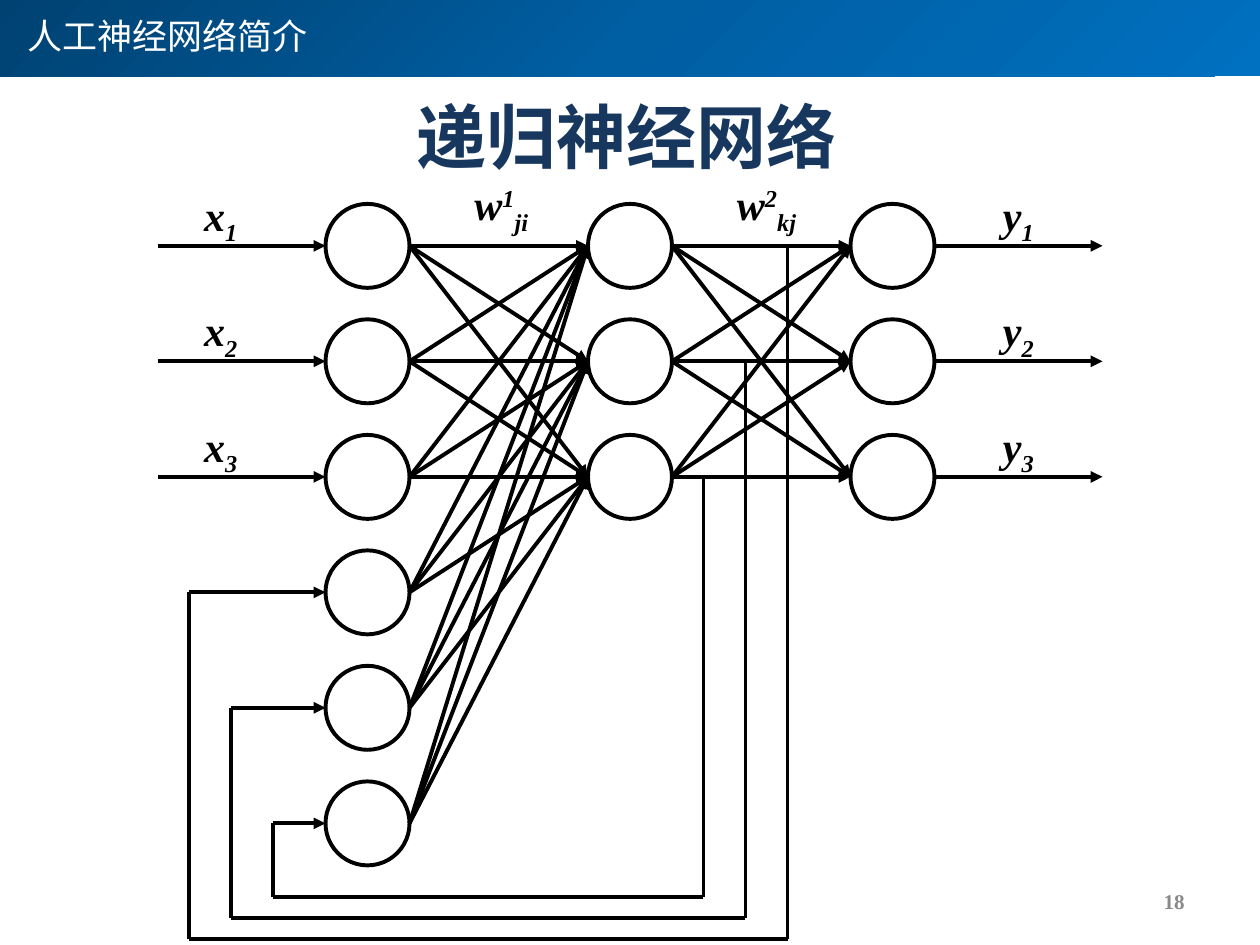
import itertools
from dataclasses import dataclass

import pptx
import pptx.dml.color
import pptx.enum.shapes
import pptx.enum.text
import pptx.oxml
import pptx.oxml.ns
import pptx.util

Pt = pptx.util.Pt
Shape = pptx.enum.shapes.MSO_SHAPE
Align = pptx.enum.text.PP_ALIGN
Anchor = pptx.enum.text.MSO_ANCHOR
NS = pptx.oxml.ns.nsdecls("a")


@dataclass(frozen=True)
class Theme:
    cjk: str = "Noto Sans CJK SC"
    latin: str = "Times New Roman"
    ink: str = "000000"
    title: str = "17375E"
    light: str = "FFFFFF"
    grey: str = "898989"
    band: tuple = ("004272", "005EA2", "0070C0")
    head: int = 40
    topic: int = 20
    label: int = 24
    page: int = 12
    stroke: float = 2.25


LOOK = Theme()


def place(shape, left, top, width, height):
    shape.left, shape.top = Pt(left), Pt(top)
    shape.width, shape.height = Pt(width), Pt(height)


def add_run(para, text, size, color, face, bold=False, italic=False, base=0):
    run = para.add_run()
    run.text = text
    font = run.font
    font.size, font.bold, font.italic = Pt(size), bold, italic
    font.color.rgb = pptx.dml.color.RGBColor.from_string(color)
    font.name = face
    props = run._r.get_or_add_rPr()
    props.append(pptx.oxml.parse_xml(f'<a:ea {NS} typeface="{face}"/>'))
    if base:
        props.set("baseline", str(base * 1000))


def set_frame(shape, align, anchor):
    frame = shape.text_frame
    frame.word_wrap = True
    frame.auto_size = pptx.enum.text.MSO_AUTO_SIZE.NONE
    frame.vertical_anchor = anchor
    para = frame.paragraphs[0]
    para.alignment = align
    para.space_before = Pt(0)
    return para


def add_text(slide, box, align=Align.LEFT, anchor=Anchor.TOP):
    return set_frame(slide.shapes.add_textbox(*map(Pt, box)), align, anchor)


# Top band with the topic
def add_band(slide, left, top, width, height):
    band = slide.shapes.add_shape(Shape.RECTANGLE, *map(Pt, (left, top, width, height)))
    band.shadow.inherit = False
    band.line.fill.background()
    band.fill.gradient()
    stops = "".join(
        f'<a:gs pos="{i * 50000}"><a:srgbClr val="{color}"/></a:gs>'
        for i, color in enumerate(LOOK.band))
    grad = pptx.oxml.parse_xml(
        f'<a:gradFill {NS} rotWithShape="1"><a:gsLst>{stops}</a:gsLst>'
        '<a:path path="circle"><a:fillToRect r="100000" b="100000"/></a:path></a:gradFill>')
    props = band._element.spPr
    props.replace(props.find(pptx.oxml.ns.qn("a:gradFill")), grad)
    # Keep the band behind the placeholders
    slide.shapes._spTree.insert(2, band._element)

    topic = slide.placeholders[1]
    place(topic, left + 8.5, top + 4.5, 176, 34)
    para = set_frame(topic, Align.LEFT, Anchor.TOP)
    add_run(para, "人工神经网络简介", LOOK.topic, LOOK.light, LOOK.cjk)


def add_title(slide, *box):
    title = slide.shapes.title
    place(title, *box)
    para = set_frame(title, Align.CENTER, Anchor.MIDDLE)
    add_run(para, "递归神经网络", LOOK.head, LOOK.title, LOOK.cjk, bold=True)


def add_page(slide, *box):
    para = add_text(slide, box, Align.RIGHT, Anchor.MIDDLE)
    add_run(para, "18", LOOK.page, LOOK.grey, LOOK.latin, bold=True)


def ink_line(shape):
    shape.line.color.rgb = pptx.dml.color.RGBColor.from_string(LOOK.ink)
    shape.line.width = Pt(LOOK.stroke)


# Recurrent network, drawn from its top left corner
def add_net(slide, left, top):
    size, pitch, step = 48, 66, 150
    count = 3
    first = 96  # left edge of the input layer
    layers = [first + step * i for i in range(3)]
    enter, hidden, leave = layers

    def row(i):
        return size / 2 + pitch * i

    def node(x, i):
        dot = slide.shapes.add_shape(
            Shape.OVAL, Pt(left + x), Pt(top + pitch * i), Pt(size), Pt(size))
        dot.shadow.inherit = False
        dot.fill.background()
        ink_line(dot)

    def wire(x1, y1, x2, y2, tip=None):
        line = slide.shapes.add_connector(
            pptx.enum.shapes.MSO_CONNECTOR.STRAIGHT,
            Pt(left + x1), Pt(top + y1), Pt(left + x2), Pt(top + y2))
        ink_line(line)
        if tip:
            line.line._get_or_add_ln().append(
                pptx.oxml.parse_xml(f'<a:{tip}End {NS} type="triangle"/>'))
        line._element.spPr.append(pptx.oxml.parse_xml(f"<a:effectLst {NS}/>"))

    def label(x, y, width, *parts):
        para = add_text(slide, (left + x, top + y, width, 36))
        for text, base in parts:
            add_run(para, text, LOOK.label, LOOK.ink, LOOK.latin, True, True, base)

    # Nodes: the input layer also holds the context units
    for x, total in zip(layers, (2 * count, count, count)):
        for i in range(total):
            node(x, i)

    # Full links between layers
    for x, total in ((enter, 2 * count), (hidden, count)):
        for i, j in itertools.product(range(total), range(count)):
            wire(x + size, row(i), x + step, row(j), "tail")

    # Inputs and outputs
    for i in range(count):
        for x, name, shift in ((0, "x", 19.5), (leave + size, "y", 32)):
            wire(x, row(i), x + first, row(i), "tail")
            label(x + shift, row(i) - 36, 40, (name, 0), (str(i + 1), -25))

    # Weights
    for i, mark in enumerate(("ji", "kj")):
        label(174 + step * i, -18, 60, ("w", 0), (str(i + 1), 30), (mark, -25))

    # Feedback loops, nested from the outside in
    for i in range(count):
        right, floor, back = 360 - 24 * i, 420 - 12 * i, 18 + 24 * i
        home = row(count + i)
        wire(right, row(i), right, floor)
        wire(right, floor, back, floor)
        wire(back, home, back, floor)
        wire(enter, home, back, home, "head")


def main():
    deck = pptx.Presentation()
    deck.slide_width, deck.slide_height = Pt(720), Pt(540)
    slide = deck.slides.add_slide(deck.slide_layouts[2])
    add_band(slide, 0, 0, 720, 43.5)
    add_title(slide, 34, 32.5, 648, 90)
    add_page(slide, 516, 500.5, 168, 29)
    add_net(slide, 90, 116.5)
    deck.save("out.pptx")


if __name__ == "__main__":
    main()
